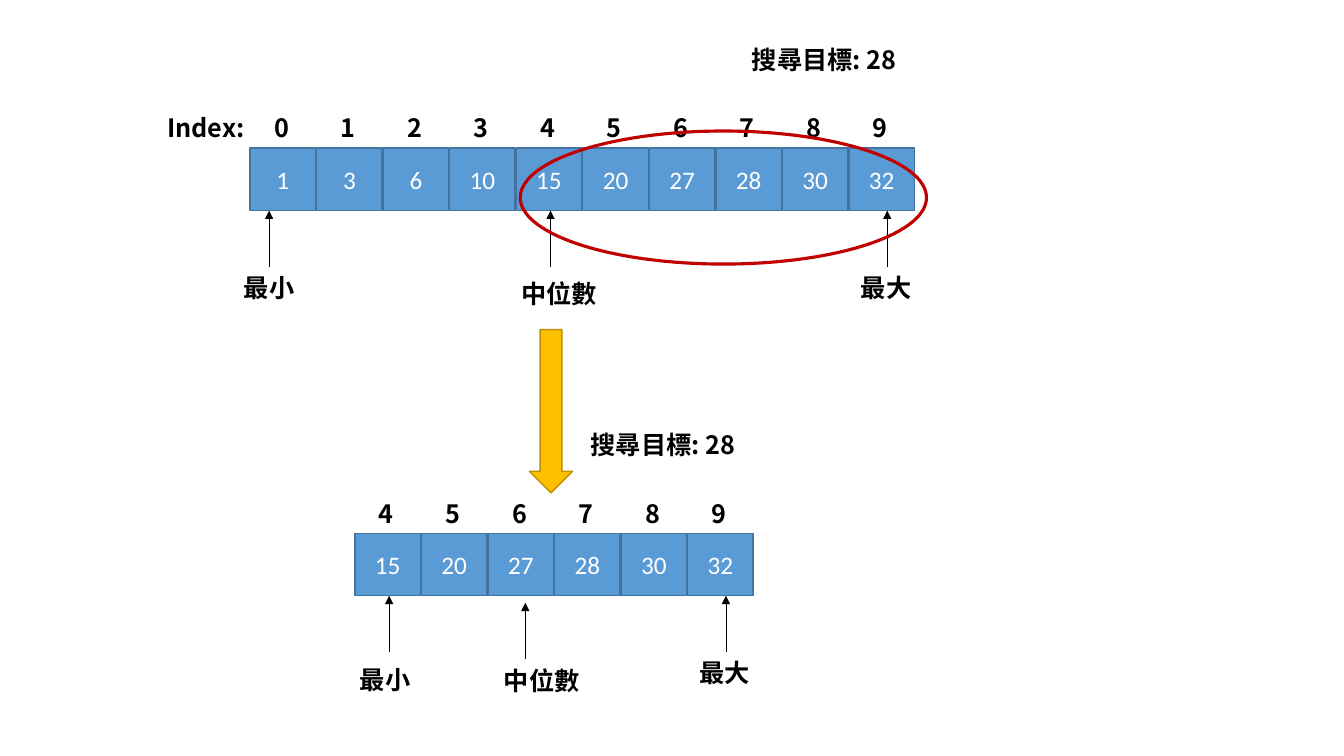
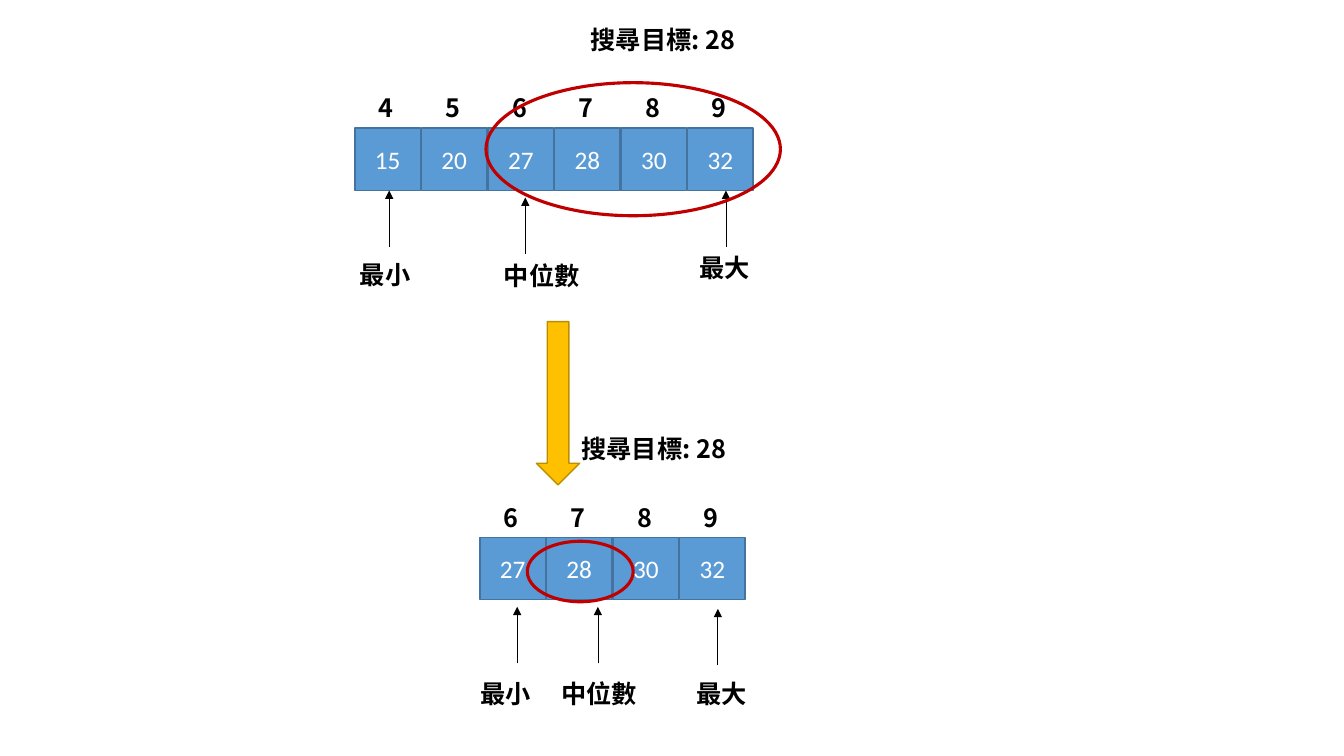
"""Two slides that trace a binary search for 28."""
from dataclasses import dataclass

from lxml.etree import SubElement
from pptx import Presentation
from pptx.dml.color import RGBColor
from pptx.enum.shapes import MSO_CONNECTOR, MSO_SHAPE
from pptx.enum.text import MSO_ANCHOR, PP_ALIGN
from pptx.oxml.ns import qn
from pptx.util import Inches, Pt


@dataclass(frozen=True)
class Theme:
    cell: RGBColor = RGBColor(0x5B, 0x9B, 0xD5)
    cell_line: RGBColor = RGBColor(0x43, 0x73, 0x9E)
    arrow: RGBColor = RGBColor(0xFF, 0xC0, 0x00)
    arrow_line: RGBColor = RGBColor(0xBD, 0x8E, 0x00)
    ring: RGBColor = RGBColor(0xC0, 0x00, 0x00)
    ink: RGBColor = RGBColor(0, 0, 0)
    white: RGBColor = RGBColor(255, 255, 255)
    cell_font: str = "Calibri"
    label_font: str = "Noto Sans CJK SC"
    size: float = 18
    outline: float = 1
    ring_outline: float = 2.25
    pointer_outline: float = 0.5


@dataclass(frozen=True)
class Box:
    x: float
    y: float
    w: float
    h: float


@dataclass(frozen=True)
class Pointer:
    """A marker below a row, placed from the row's top left corner."""
    label: str
    x: float
    tip: float
    label_x: float
    label_y: float


@dataclass(frozen=True)
class Row:
    x: float
    y: float
    first: int
    target_x: float
    pointers: tuple[Pointer, ...]


@dataclass(frozen=True)
class Step:
    """One slide: the rows before and after halving the range."""
    rows: tuple[Row, ...]
    arrow: Box
    rings: tuple[Box, ...]


THEME = Theme()
VALUES = (1, 3, 6, 10, 15, 20, 27, 28, 30, 32)
TARGET = "搜尋目標: 28"
LOW, MID, HIGH = "最小", "中位數", "最大"
CELL_W, CELL_H, PITCH = 0.65, 0.62, 0.66
INDEX_DX, INDEX_W, LABEL_H = 0.14, 0.35, 0.4
TARGET_DY, TARGET_W = 1.08, 1.64
POINTER_LEN = 0.56
LABEL_W = {LOW: 0.71, MID: 0.96, HIGH: 0.71}

ALL_POINTERS = (
    Pointer(LOW, 0.19, 0.62, -0.16, 1.18),
    Pointer(MID, 2.98, 0.62, 2.59, 1.24),
    Pointer(HIGH, 6.32, 0.62, 5.96, 1.18),
)
UPPER_POINTERS = (
    Pointer(LOW, 0.34, 0.62, -0.05, 1.25),
    Pointer(MID, 1.69, 0.69, 1.38, 1.26),
    Pointer(HIGH, 3.68, 0.62, 3.32, 1.18),
)
LAST_POINTERS = (
    Pointer(LOW, 0.37, 0.69, -0.09, 1.35),
    Pointer(MID, 1.17, 0.69, 0.71, 1.35),
    Pointer(HIGH, 2.36, 0.71, 2.05, 1.35),
)
STEPS = (
    Step(
        (Row(2.48, 1.47, 0, 4.88, ALL_POINTERS),
         Row(3.52, 5.29, 4, 2.24, UPPER_POINTERS)),
        Box(5.25, 3.27, 0.43, 1.62),
        (Box(5.16, 1.3, 4.03, 1.32),),
    ),
    Step(
        (Row(3.52, 1.27, 4, 2.24, UPPER_POINTERS),
         Row(4.76, 5.33, 6, 0.91, LAST_POINTERS)),
        Box(5.32, 3.19, 0.43, 1.62),
        (Box(4.82, 0.82, 2.92, 1.32), Box(5.23, 5.37, 1.05, 0.6)),
    ),
)


def set_text(tf, text: str, font: str, color: RGBColor, bold: bool = False) -> None:
    """Write one formatted line for both Latin and East Asian scripts."""
    tf.word_wrap = True
    tf.text = text
    r = tf.paragraphs[0].runs[0]
    r.font.name = font
    r.font.size = Pt(THEME.size)
    r.font.bold = bold
    r.font.color.rgb = color
    SubElement(r._r.get_or_add_rPr(), qn("a:ea"), typeface=font)


def add_label(slide, text: str, x: float, y: float, w: float) -> None:
    """Add a bold black label."""
    sp = slide.shapes.add_textbox(Inches(x), Inches(y), Inches(w), Inches(LABEL_H))
    set_text(sp.text_frame, text, THEME.label_font, THEME.ink, True)


def add_figure(slide, kind: MSO_SHAPE, box: Box, fill: RGBColor | None,
               line: RGBColor, width: float):
    """Add a preset shape, hollow when no fill is given."""
    sp = slide.shapes.add_shape(kind, Inches(box.x), Inches(box.y),
                                Inches(box.w), Inches(box.h))
    sp.shadow.inherit = False
    if fill is None:
        sp.fill.background()
    else:
        sp.fill.solid()
        sp.fill.fore_color.rgb = fill
    sp.line.color.rgb = line
    sp.line.width = Pt(width)
    return sp


def add_cell(slide, value: int, x: float, y: float) -> None:
    """Add one array cell."""
    sp = add_figure(slide, MSO_SHAPE.RECTANGLE, Box(x, y, CELL_W, CELL_H),
                    THEME.cell, THEME.cell_line, THEME.outline)
    tf = sp.text_frame
    tf.vertical_anchor = MSO_ANCHOR.MIDDLE
    set_text(tf, str(value), THEME.cell_font, THEME.white)
    tf.paragraphs[0].alignment = PP_ALIGN.CENTER


def add_pointer(slide, row: Row, pointer: Pointer) -> None:
    """Add an upward arrow and its label."""
    x, tip = Inches(row.x + pointer.x), row.y + pointer.tip
    line = slide.shapes.add_connector(MSO_CONNECTOR.STRAIGHT, x,
                                      Inches(tip + POINTER_LEN), x, Inches(tip))
    line.line.color.rgb = THEME.ink
    line.line.width = Pt(THEME.pointer_outline)
    SubElement(line.line._get_or_add_ln(), qn("a:tailEnd"), type="triangle")
    SubElement(line._element.spPr, qn("a:effectLst"))
    add_label(slide, pointer.label, row.x + pointer.label_x,
              row.y + pointer.label_y, LABEL_W[pointer.label])


def add_row(slide, row: Row) -> None:
    """Add the cells from the first index on, with indices, target and pointers."""
    index_y = row.y - LABEL_H
    for i, value in enumerate(VALUES[row.first:]):
        x = row.x + i * PITCH
        add_cell(slide, value, x, row.y)
        add_label(slide, str(row.first + i), x + INDEX_DX, index_y, INDEX_W)
    add_label(slide, TARGET, row.x + row.target_x, row.y - TARGET_DY, TARGET_W)
    if row.first == 0:
        add_label(slide, "Index:", row.x - 0.92, index_y, 1)
    for pointer in row.pointers:
        add_pointer(slide, row, pointer)


def add_step(prs, step: Step) -> None:
    """Build one slide of the search."""
    slide = prs.slides.add_slide(prs.slide_layouts[6])
    add_figure(slide, MSO_SHAPE.DOWN_ARROW, step.arrow,
               THEME.arrow, THEME.arrow_line, THEME.outline)
    for row in step.rows:
        add_row(slide, row)
    for ring in step.rings:
        add_figure(slide, MSO_SHAPE.OVAL, ring, None, THEME.ring, THEME.ring_outline)


def main() -> None:
    """Build and save the presentation."""
    prs = Presentation()
    prs.slide_width, prs.slide_height = Inches(13.33), Inches(7.5)
    for step in STEPS:
        add_step(prs, step)
    prs.save("out.pptx")


main()
